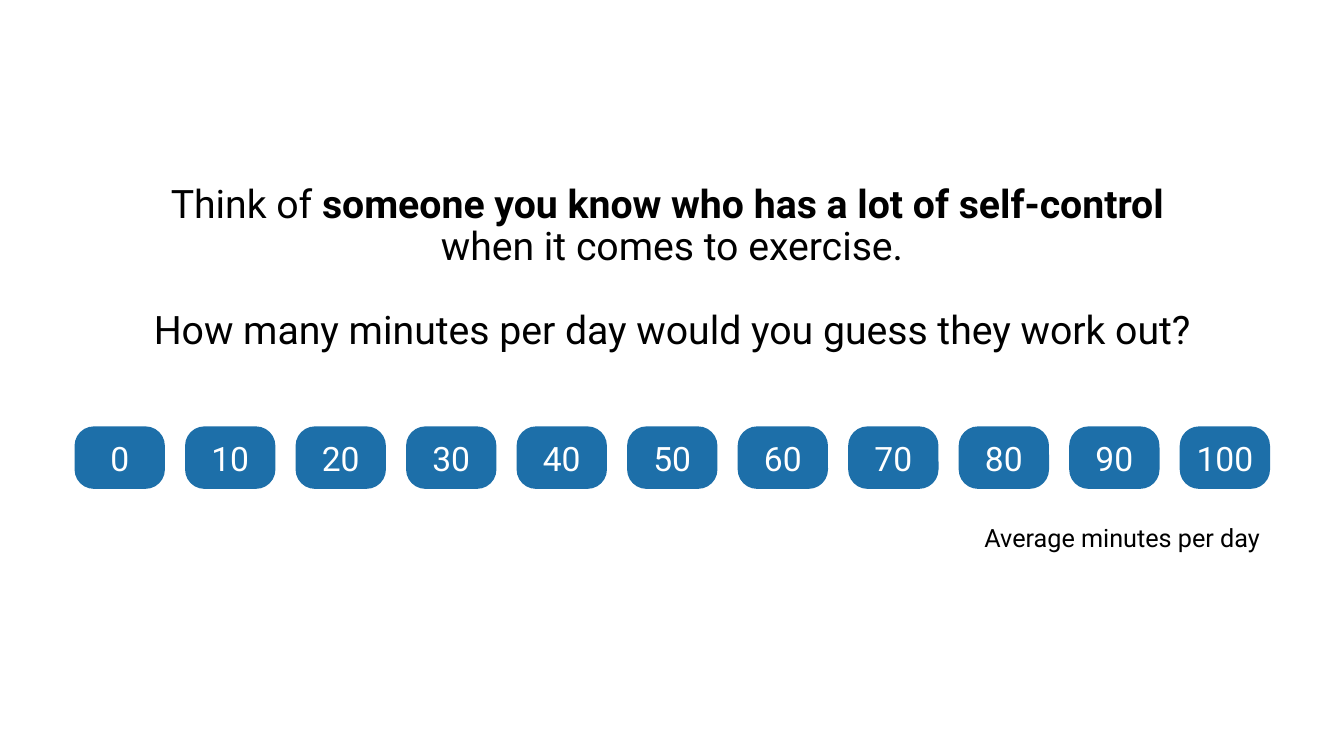
from pptx import Presentation
from pptx.dml.color import RGBColor
from pptx.enum.shapes import MSO_SHAPE
from pptx.enum.text import MSO_ANCHOR, PP_ALIGN
from pptx.util import Inches, Pt

HUES = {"ink": "000000", "pill": "1D6FA9", "light": "FFFFFF"}


class Deck:
    font = "Roboto"
    left, right, gap, count = 5.55, 94.5, 1.5, 11

    def __init__(self):
        self.prs = Presentation()
        self.prs.slide_width = Inches(13.33)
        self.prs.slide_height = Inches(7.5)
        self.slide = self.prs.slides.add_slide(self.prs.slide_layouts[6])

    def area(self, x, y, w, h):
        wide, tall = self.prs.slide_width, self.prs.slide_height
        return [int(v * side / 100) for v, side in ((x, wide), (y, tall), (w, wide), (h, tall))]

    def style(self, para, size, hue, align):
        para.alignment = align
        for run in para.runs:
            run.font.name = self.font
            run.font.size = Pt(size)
            run.font.color.rgb = RGBColor.from_string(HUES[hue])

    def box(self, place, anchor, wrap=True):
        frame = self.slide.shapes.add_textbox(*self.area(*place)).text_frame
        frame.word_wrap = wrap
        frame.vertical_anchor = anchor
        return frame

    def title(self, place, lead, bold, rest, ask):
        frame = self.box(place, MSO_ANCHOR.BOTTOM)
        first = frame.paragraphs[0]
        first.text = lead
        strong = first.add_run()
        strong.text = bold
        strong.font.bold = True
        first.add_line_break()
        first.add_run().text = rest
        last = frame.add_paragraph()
        last.text = ask
        last.space_before = Pt(29.5)
        for para in frame.paragraphs:
            para.line_spacing = 0.9
            self.style(para, 28, "ink", PP_ALIGN.CENTER)

    def pill(self, col, y, h, text):
        step = (self.right - self.left + self.gap) / self.count
        place = self.area(self.left + col * step, y, step - self.gap, h)
        shape = self.slide.shapes.add_shape(MSO_SHAPE.ROUNDED_RECTANGLE, *place)
        shape.adjustments[0] = 0.31
        shape.shadow.inherit = False
        shape.fill.solid()
        shape.fill.fore_color.rgb = RGBColor.from_string(HUES["pill"])
        shape.line.fill.background()
        frame = shape.text_frame
        frame.text = text
        frame.word_wrap = False
        frame.vertical_anchor = MSO_ANCHOR.MIDDLE
        self.style(frame.paragraphs[0], 24, "light", PP_ALIGN.CENTER)

    def note(self, place, text):
        frame = self.box(place, MSO_ANCHOR.TOP, False)
        frame.text = text
        self.style(frame.paragraphs[0], 18, "ink", PP_ALIGN.RIGHT)


def main():
    deck = Deck()
    deck.title(
        (0, 12.53, 100, 34.8),
        "Think of ",
        "someone you know who has a lot of self-control ",
        "when it comes to exercise.",
        "How many minutes per day would you guess they work out?",
    )
    for col in range(deck.count):
        deck.pill(col, 56.4, 8.27, str(col * 10))
    deck.note((72, 68.4, 22.5, 5.33), "Average minutes per day")
    deck.prs.save("out.pptx")


if __name__ == "__main__":
    main()
